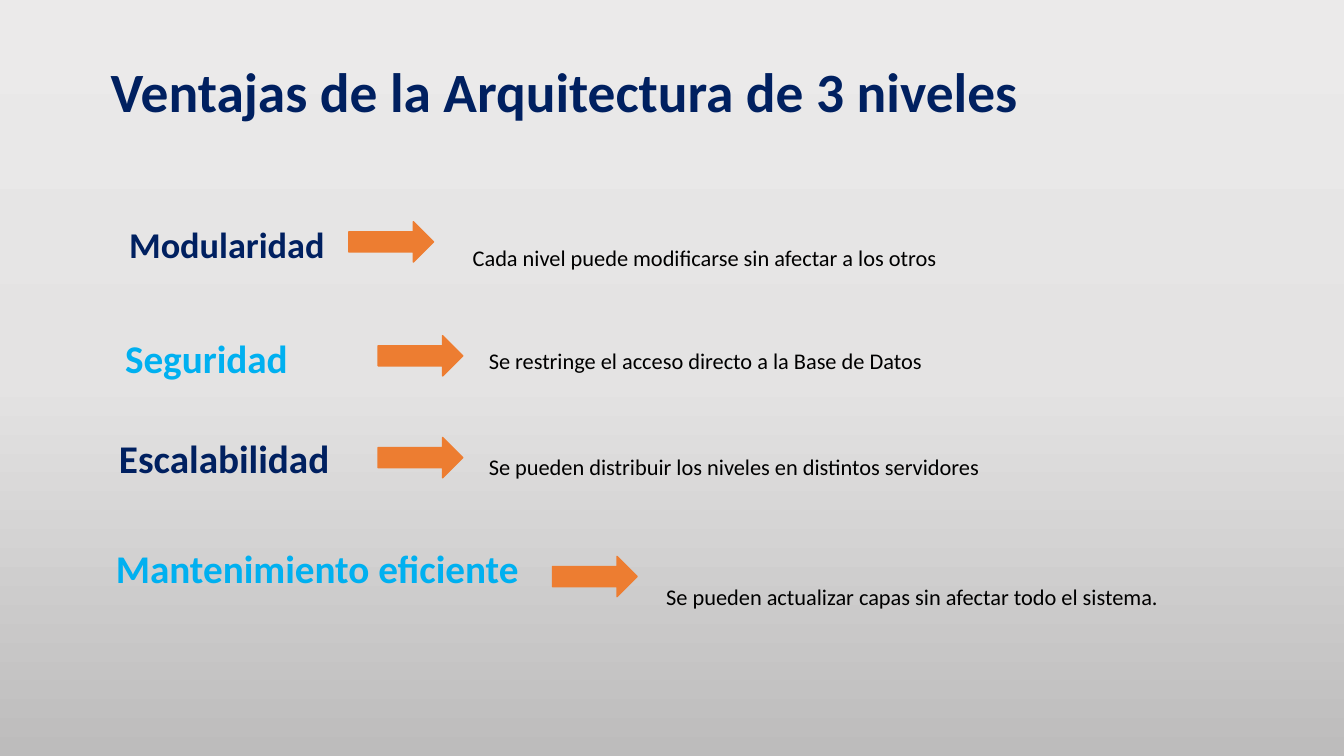
import copy
from pptx import Presentation
from pptx.dml.color import RGBColor
from pptx.enum import shapes, text
from pptx.oxml.ns import qn
from pptx.util import Inches, Pt

COLORS = {"navy": "002060", "sky": "00B0F0", "orange": "ED7D31", "black": "000000"}
BACKGROUND = [(0, "EBEAEA"), (0.5, "E4E3E3"), (1, "BDBCBC")]
FONT = "Calibri"
ARROW_SIZE = (0.84, 0.4)
NOTE_HEIGHT = 0.37

TITLE = "Ventajas de la Arquitectura de 3 niveles"
# Label: text, box, size, colour, left indent, line spacing, wrap
# Arrow: left, top; note: text, left, top, width
ADVANTAGES = [
    {"label": ("Modularidad", (0.68, 1.94, 2.78, 1.18), 25.9, "navy", 0.5, 1.5, True),
     "arrow": (3.46, 2.2),
     "note": ("Cada nivel puede modificarse sin afectar a los otros", 4.59, 2.37, 5.63)},
    {"label": ("Seguridad", (0.64, 3.03, 2.72, 1.11), 28, "sky", 0.5, 1.5, True),
     "arrow": (3.75, 3.33),
     "note": ("Se restringe el acceso directo a la Base de Datos", 4.75, 3.39, 5.63)},
    {"label": ("Escalabilidad", (0.58, 4.03, 2.91, 1.11), 28, "navy", 0.5, 1.5, False),
     "arrow": (3.75, 4.34),
     "note": ("Se pueden distribuir los niveles en distintos servidores", 4.75, 4.45, 7.06)},
    {"label": ("Mantenimiento eficiente", (1.05, 5.35, 4.25, 0.57), 28, "sky", 0, 1, False),
     "arrow": (5.48, 5.52),
     "note": ("Se pueden actualizar capas sin afectar todo el sistema.", 6.51, 5.74, 5.66)},
]


def rgb(name):
    return RGBColor.from_string(COLORS[name])


def add_text(page, words, bounds, size, color, indent=0, spacing=1, wrap=True, bold=True):
    box = page.shapes.add_textbox(*map(Inches, bounds))
    frame = box.text_frame
    frame.text = words
    frame.word_wrap = wrap
    frame.margin_left = Inches(0.1 + indent)
    para = frame.paragraphs[0]
    para.line_spacing = spacing
    font = para.runs[0].font
    font.name, font.size, font.bold = FONT, Pt(size), bold
    font.color.rgb = rgb(color)
    return frame


def add_arrow(page, left, top):
    arrow = page.shapes.add_shape(shapes.MSO_SHAPE.RIGHT_ARROW,
                                  *map(Inches, (left, top, *ARROW_SIZE)))
    arrow.shadow.inherit = False
    arrow.fill.solid()
    arrow.fill.fore_color.rgb = rgb("orange")
    arrow.line.color.rgb = rgb("orange")
    arrow.line.width = Pt(1)


def paint_background(page):
    fill = page.background.fill
    fill.gradient()
    fill.gradient_angle = 270
    stop_list = next(page.element.iter(qn("a:gsLst")))
    stop_list.append(copy.deepcopy(stop_list[-1]))
    for stop, (position, color) in zip(fill.gradient_stops, BACKGROUND):
        stop.position = position
        stop.color.rgb = RGBColor.from_string(color)


def main():
    deck = Presentation()
    deck.slide_width, deck.slide_height = Inches(13.33), Inches(7.5)
    page = deck.slides.add_slide(deck.slide_layouts[6])
    paint_background(page)

    # Title
    title = add_text(page, TITLE, (1, 0.58, 11.5, 0.71), 39.6, "navy", spacing=0.9)
    title.vertical_anchor = text.MSO_ANCHOR.MIDDLE

    # Advantages: label, arrow, explanation
    for advantage in ADVANTAGES:
        add_text(page, *advantage["label"])
        add_arrow(page, *advantage["arrow"])
        words, left, top, width = advantage["note"]
        add_text(page, words, (left, top, width, NOTE_HEIGHT), 16, "black", bold=False)

    deck.save("out.pptx")


if __name__ == "__main__":
    main()
